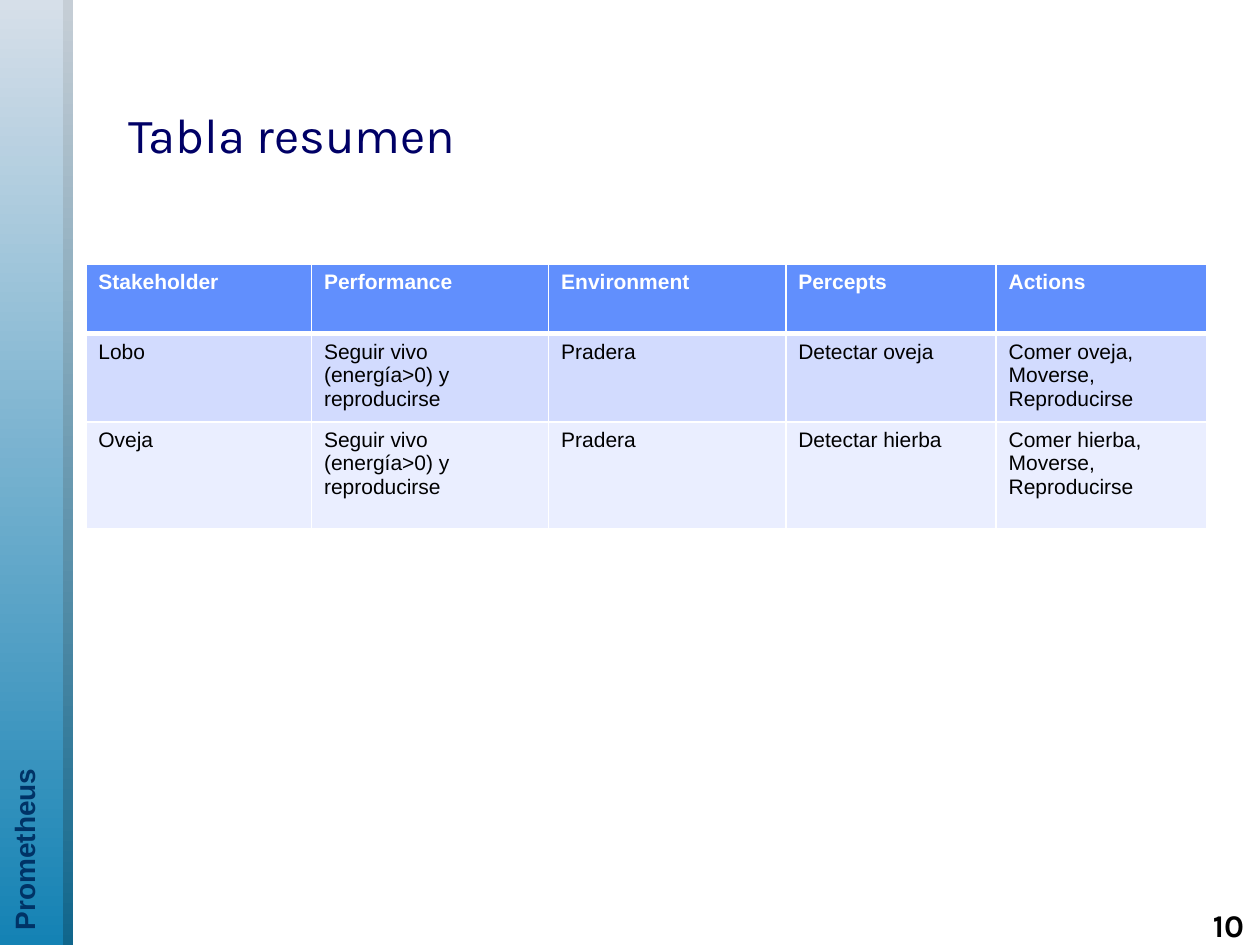
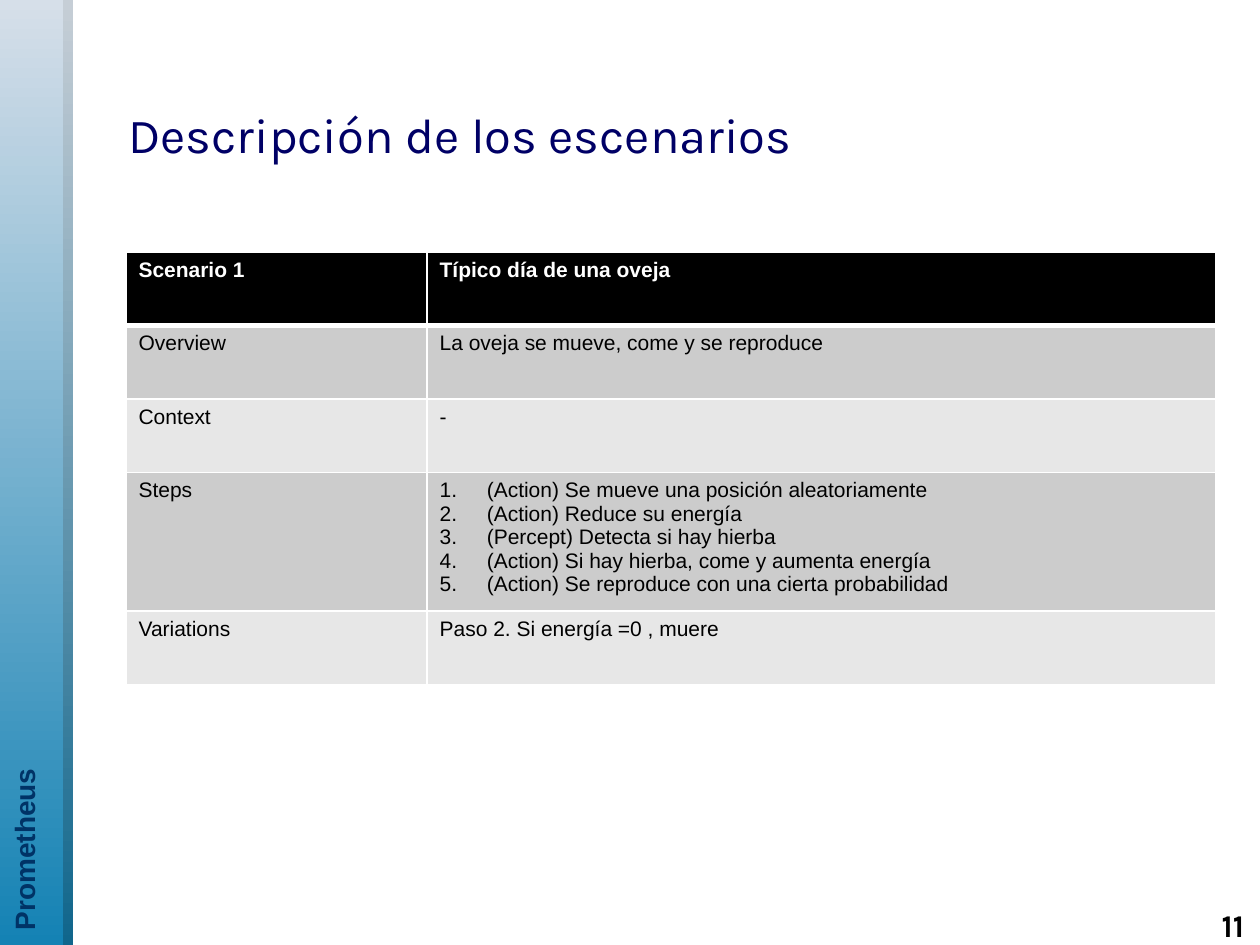
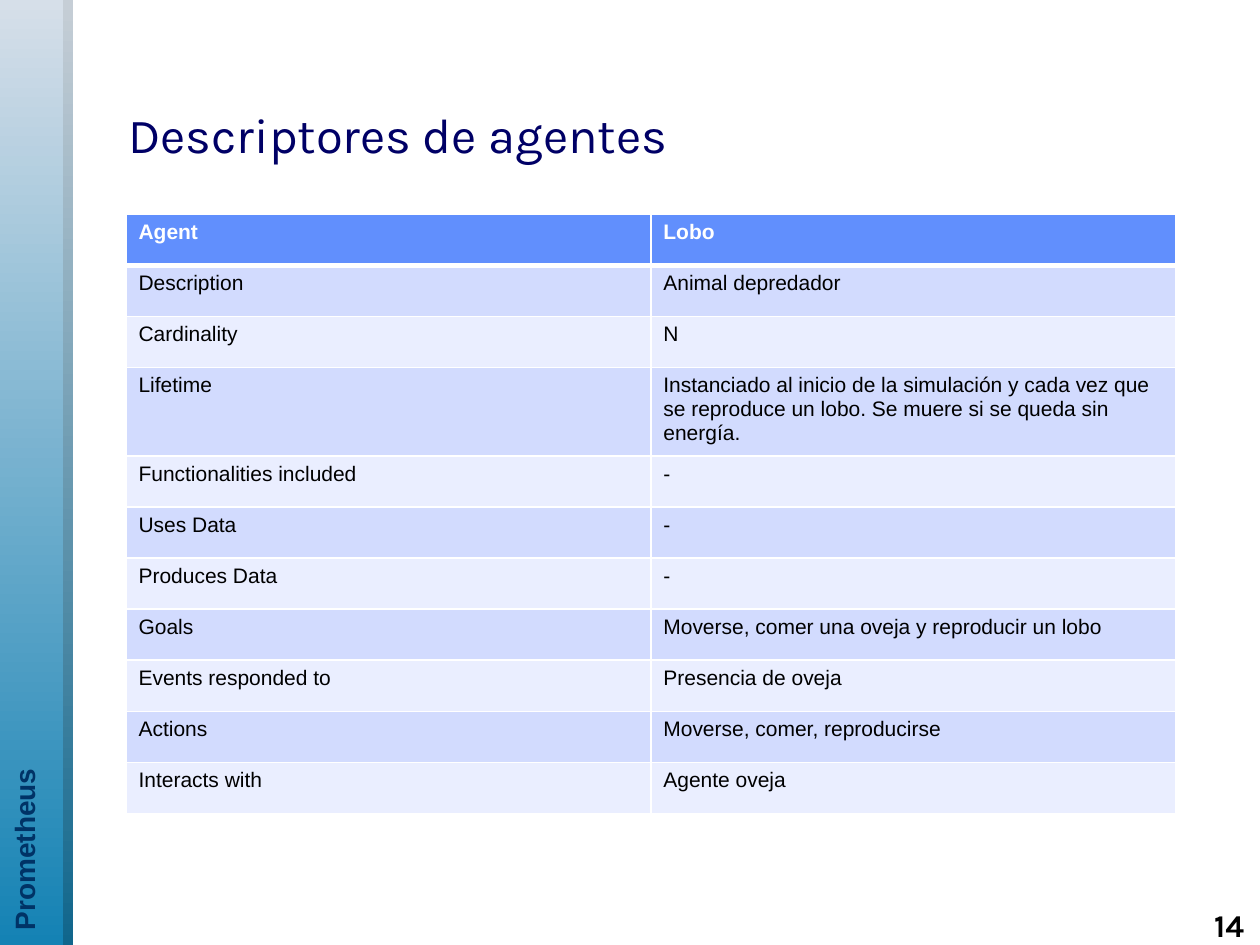
from dataclasses import dataclass

from lxml import etree
from pptx import Presentation
from pptx.dml.color import RGBColor
from pptx.enum.shapes import MSO_SHAPE
from pptx.enum.text import MSO_ANCHOR, PP_ALIGN
from pptx.oxml.ns import qn
from pptx.util import Cm, Pt

RECTANGLE = MSO_SHAPE.RECTANGLE
MIDDLE = MSO_ANCHOR.MIDDLE
LEFT, RIGHT = PP_ALIGN.LEFT, PP_ALIGN.RIGHT

BODY_FONT, TITLE_FONT = "Arial", "Karla"
WHITE, BLACK = "FFFFFF", "000000"
TITLE_NAVY, LABEL_NAVY = "000066", "003366"

SLIDE_WIDTH, SLIDE_HEIGHT = 25.4, 19.05
BAND_WIDTH = 1.27
STEP_INDENT = Cm(0.95)
THIN_RULE, HEADER_RULE = 1, 3


@dataclass(frozen=True)
class Box:
    """A place on the slide, in centimetres."""
    left: float
    top: float
    width: float
    height: float


@dataclass(frozen=True)
class Band:
    left: float
    top_color: str
    bottom_color: str


@dataclass(frozen=True)
class TextStyle:
    font: str
    size: float
    color: str
    bold: bool = False
    align: PP_ALIGN = LEFT


@dataclass(frozen=True)
class Palette:
    header: str
    odd_row: str
    even_row: str


# A tuple is a numbered list; line breaks in a string part paragraphs.
CellText = str | tuple[str, ...]


@dataclass(frozen=True)
class Grid:
    left: float
    top: float
    columns: list[float]
    row_heights: list[float]
    palette: Palette
    rows: list[tuple[CellText, ...]]


@dataclass(frozen=True)
class Page:
    number: int
    title: str
    grid: Grid


BANDS = [Band(0.2, "C6CED6", "10668C"), Band(0, "D6DFE9", "1482B4")]

LABEL_BOX = Box(-9.02, 9.02, 19.02, 0.94)
TITLE_BOX = Box(2.34, 1.96, 21.39, 1.47)
NUMBER_BOX = Box(23.04, 18.14, 2.29, 1.27)

LABEL_STYLE = TextStyle(BODY_FONT, 16, LABEL_NAVY, bold=True)
TITLE_STYLE = TextStyle(TITLE_FONT, 28, TITLE_NAVY)
NUMBER_STYLE = TextStyle(TITLE_FONT, 18, BLACK, bold=True, align=RIGHT)
HEADER_STYLE = TextStyle(BODY_FONT, 12, WHITE, bold=True)
CELL_STYLE = TextStyle(BODY_FONT, 12, BLACK)

BLUE = Palette("618FFD", "D2DBFE", "EAEEFF")
GREY = Palette(BLACK, "CCCCCC", "E7E7E7")

SUMMARY = Grid(
    1.73, 5.33, [4.55, 4.78, 4.78, 4.24, 4.24], [1.4, 1.68, 2.15], BLUE,
    [
        ("Stakeholder", "Performance", "Environment", "Percepts", "Actions"),
        ("Lobo", "Seguir vivo (energía>0) y reproducirse", "Pradera",
         "Detectar oveja", "Comer oveja, Moverse, Reproducirse"),
        ("Oveja", "Seguir vivo (energía>0) y reproducirse", "Pradera",
         "Detectar hierba", "Comer hierba, Moverse,\nReproducirse"),
    ],
)

SCENARIO = Grid(
    2.54, 5.08, [6.07, 15.9], [1.48] * 3 + [2.63, 1.48], GREY,
    [
        ("Scenario 1", "Típico día de una oveja"),
        ("Overview", "La oveja se mueve, come y se reproduce"),
        ("Context", "-"),
        ("Steps", (
            "(Action) Se mueve una posición aleatoriamente",
            "(Action) Reduce su energía",
            "(Percept) Detecta si hay hierba",
            "(Action) Si hay hierba, come y aumenta energía",
            "(Action) Se reproduce con una cierta probabilidad",
        )),
        ("Variations", "Paso 2. Si energía =0 , muere"),
    ],
)

AGENT = Grid(
    2.54, 4.32, [10.58] * 2, [1.03] * 3 + [1.68] + [1.03] * 7, BLUE,
    [
        ("Agent", "Lobo"),
        ("Description", "Animal depredador"),
        ("Cardinality", "N"),
        ("Lifetime", "Instanciado al inicio de la simulación y cada vez que se "
                     "reproduce un lobo. Se muere si se queda sin energía."),
        ("Functionalities included", "-"),
        ("Uses Data", "-"),
        ("Produces Data", "-"),
        ("Goals", "Moverse, comer una oveja y reproducir un lobo"),
        ("Events responded to", "Presencia de oveja"),
        ("Actions", "Moverse, comer, reproducirse"),
        ("Interacts with", "Agente oveja"),
    ],
)

PAGES = [
    Page(10, "Tabla resumen", SUMMARY),
    Page(11, "Descripción de los escenarios", SCENARIO),
    Page(14, "Descriptores de agentes", AGENT),
]


def rgb(color: str) -> RGBColor:
    return RGBColor.from_string(color)


def style_paragraph(paragraph, style: TextStyle) -> None:
    paragraph.alignment = style.align
    font = paragraph.font
    font.name = style.font
    font.size = Pt(style.size)
    font.bold = style.bold
    font.color.rgb = rgb(style.color)


def add_text(slide, box: Box, text: str, style: TextStyle):
    textbox = slide.shapes.add_textbox(
        Cm(box.left), Cm(box.top), Cm(box.width), Cm(box.height))
    frame = textbox.text_frame
    frame.word_wrap = True
    frame.text = text
    style_paragraph(frame.paragraphs[0], style)
    return textbox


def add_band(slide, band: Band) -> None:
    strip = slide.shapes.add_shape(
        RECTANGLE, Cm(band.left), Cm(0), Cm(BAND_WIDTH), Cm(SLIDE_HEIGHT))
    strip.shadow.inherit = False
    strip.line.fill.background()
    strip.fill.gradient()
    strip.fill.gradient_angle = 270
    for stop, color in zip(strip.fill.gradient_stops,
                           (band.top_color, band.bottom_color)):
        stop.color.rgb = rgb(color)


def number_paragraph(paragraph) -> None:
    properties = paragraph._p.get_or_add_pPr()
    properties.set("marL", str(STEP_INDENT))
    properties.set("indent", str(-STEP_INDENT))
    etree.SubElement(properties, qn("a:buAutoNum"), type="arabicPeriod")


def set_borders(cell, row: int) -> None:
    """White rules, with a heavier one between the header and the body."""
    widths = {
        "a:lnL": THIN_RULE,
        "a:lnR": THIN_RULE,
        "a:lnT": HEADER_RULE if row == 1 else THIN_RULE,
        "a:lnB": HEADER_RULE if row == 0 else THIN_RULE,
    }
    properties = cell._tc.get_or_add_tcPr()
    for tag, width in widths.items():
        rule = etree.SubElement(properties, qn(tag), w=str(Pt(width)))
        fill = etree.SubElement(rule, qn("a:solidFill"))
        etree.SubElement(fill, qn("a:srgbClr"), val=WHITE)


def fill_cell(cell, content: CellText, row: int, palette: Palette) -> None:
    numbered = isinstance(content, tuple)
    cell.text = "\n".join(content) if numbered else content
    for paragraph in cell.text_frame.paragraphs:
        if numbered:
            number_paragraph(paragraph)
        style_paragraph(paragraph, CELL_STYLE if row else HEADER_STYLE)

    set_borders(cell, row)
    if row == 0:
        color = palette.header
    else:
        color = palette.odd_row if row % 2 else palette.even_row
    cell.fill.solid()
    cell.fill.fore_color.rgb = rgb(color)


def add_grid(slide, grid: Grid) -> None:
    table = slide.shapes.add_table(
        len(grid.rows), len(grid.columns), Cm(grid.left), Cm(grid.top),
        Cm(sum(grid.columns)), Cm(sum(grid.row_heights))).table
    for column, width in zip(table.columns, grid.columns):
        column.width = Cm(width)
    for row, height in zip(table.rows, grid.row_heights):
        row.height = Cm(height)
    for row, contents in enumerate(grid.rows):
        for column, content in enumerate(contents):
            fill_cell(table.cell(row, column), content, row, grid.palette)


def add_page(presentation, page: Page) -> None:
    slide = presentation.slides.add_slide(presentation.slide_layouts[6])
    for band in BANDS:
        add_band(slide, band)
    add_text(slide, LABEL_BOX, "Prometheus", LABEL_STYLE).rotation = 270
    title = add_text(slide, TITLE_BOX, page.title, TITLE_STYLE)
    title.text_frame.vertical_anchor = MIDDLE
    add_grid(slide, page.grid)
    add_text(slide, NUMBER_BOX, str(page.number), NUMBER_STYLE)


def main() -> None:
    presentation = Presentation()
    presentation.slide_width = Cm(SLIDE_WIDTH)
    presentation.slide_height = Cm(SLIDE_HEIGHT)
    for page in PAGES:
        add_page(presentation, page)
    presentation.save("out.pptx")


if __name__ == "__main__":
    main()
